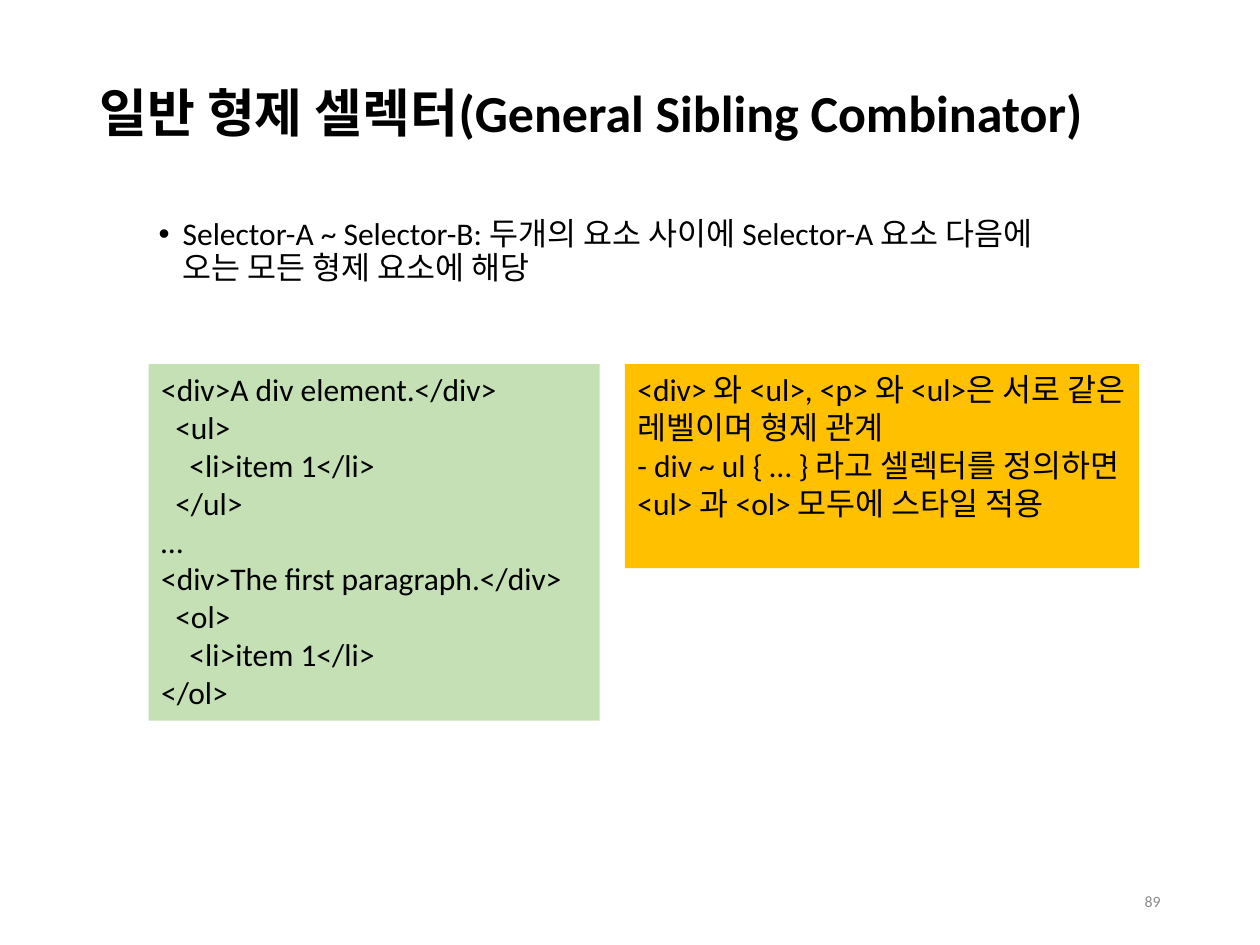
from pptx import Presentation
from pptx import util as u
from pptx.dml.color import RGBColor
from pptx.enum import shapes, text
from pptx.oxml.ns import qn
from lxml import etree

BLACK = RGBColor(0x00, 0x00, 0x00)
GRAY = RGBColor(0x8C, 0x8C, 0x8C)
GREEN = RGBColor(0xC5, 0xE0, 0xB4)
AMBER = RGBColor(0xFF, 0xC0, 0x00)

CODE = [
    "<div>A div element.</div>",
    "  <ul>",
    "    <li>item 1</li>",
    "  </ul>",
    "…",
    "<div>The first paragraph.</div>",
    "  <ol>",
    "    <li>item 1</li>",
    "</ol>",
]
NOTES = [
    "<div> 와 <ul>, <p> 와 <ul>은 서로 같은 레벨이며 형제 관계",
    "- div ~ ul { … } 라고 셀렉터를 정의하면 <ul> 과 <ol> 모두에 스타일 적용",
]


class Page:
    """Holds the text style and the current slide."""
    face = "Calibri"
    size = 18

    def __init__(self, deck):
        self.slide = deck.slides.add_slide(deck.slide_layouts[1])

    def place(self, shape, box):
        shape.left, shape.top, shape.width, shape.height = map(u.Inches, box)

    def fill_text(self, frame, lines, size=None, color=BLACK, bold=False,
                  align=text.PP_ALIGN.LEFT, anchor=text.MSO_ANCHOR.TOP, space=1.0):
        frame.word_wrap = True
        frame.auto_size = text.MSO_AUTO_SIZE.NONE
        frame.vertical_anchor = anchor
        for i, line in enumerate(lines):
            para = frame.paragraphs[0] if i == 0 else frame.add_paragraph()
            para.text = line
            para.alignment = align
            para.line_spacing = space
            para.space_before = u.Pt(0)
            font = para.font
            font.name, font.size, font.bold = self.face, u.Pt(size or self.size), bold
            font.color.rgb = color

    def title(self, line, box):
        shape = self.slide.shapes.title
        self.place(shape, box)
        self.fill_text(shape.text_frame, [line], 29.7, bold=True,
                       anchor=text.MSO_ANCHOR.MIDDLE, space=0.9)

    def bullets(self, lines, box):
        shape = self.slide.placeholders[1]
        self.place(shape, box)
        self.fill_text(shape.text_frame, lines, space=0.9)
        for para in shape.text_frame.paragraphs:
            para.level = 1
            props = para._p.get_or_add_pPr()
            props.set("marL", str(u.Inches(0.56)))
            props.set("indent", str(u.Inches(-0.19)))
            mark = etree.Element(qn("a:buChar"), char="•")
            props.find(qn("a:defRPr")).addprevious(mark)

    def panel(self, lines, box, fill):
        shape = self.slide.shapes.add_shape(
            shapes.MSO_SHAPE.RECTANGLE, *map(u.Inches, box))
        shape.shadow.inherit = False
        shape.fill.solid()
        shape.fill.fore_color.rgb = fill
        shape.line.fill.background()
        self.fill_text(shape.text_frame, lines)

    def number(self, label, box):
        shape = self.slide.shapes.add_textbox(*map(u.Inches, box))
        self.fill_text(shape.text_frame, [label], 9, GRAY,
                       align=text.PP_ALIGN.RIGHT, anchor=text.MSO_ANCHOR.MIDDLE)


def main():
    deck = Presentation()
    deck.slide_width, deck.slide_height = u.Inches(10), u.Inches(7.5)
    page = Page(deck)

    # Heading and definition
    page.title("일반 형제 셀렉터(General Sibling Combinator)", (0.69, 0.4, 8.62, 1.04))
    page.bullets(["Selector-A ~ Selector-B: 두개의 요소 사이에 Selector-A 요소 "
                  "다음에 오는 모든 형제 요소에 해당"], (0.79, 1.68, 7.54, 0.84))

    # Code sample and its explanation
    top = 2.89
    page.panel(CODE, (1.18, top, 3.58, 2.83), GREEN)
    page.panel(NOTES, (4.96, top, 4.08, 1.62), AMBER)

    # Page number
    page.number("89", (7.06, 6.95, 2.25, 0.4))
    deck.save("out.pptx")


if __name__ == "__main__":
    main()
